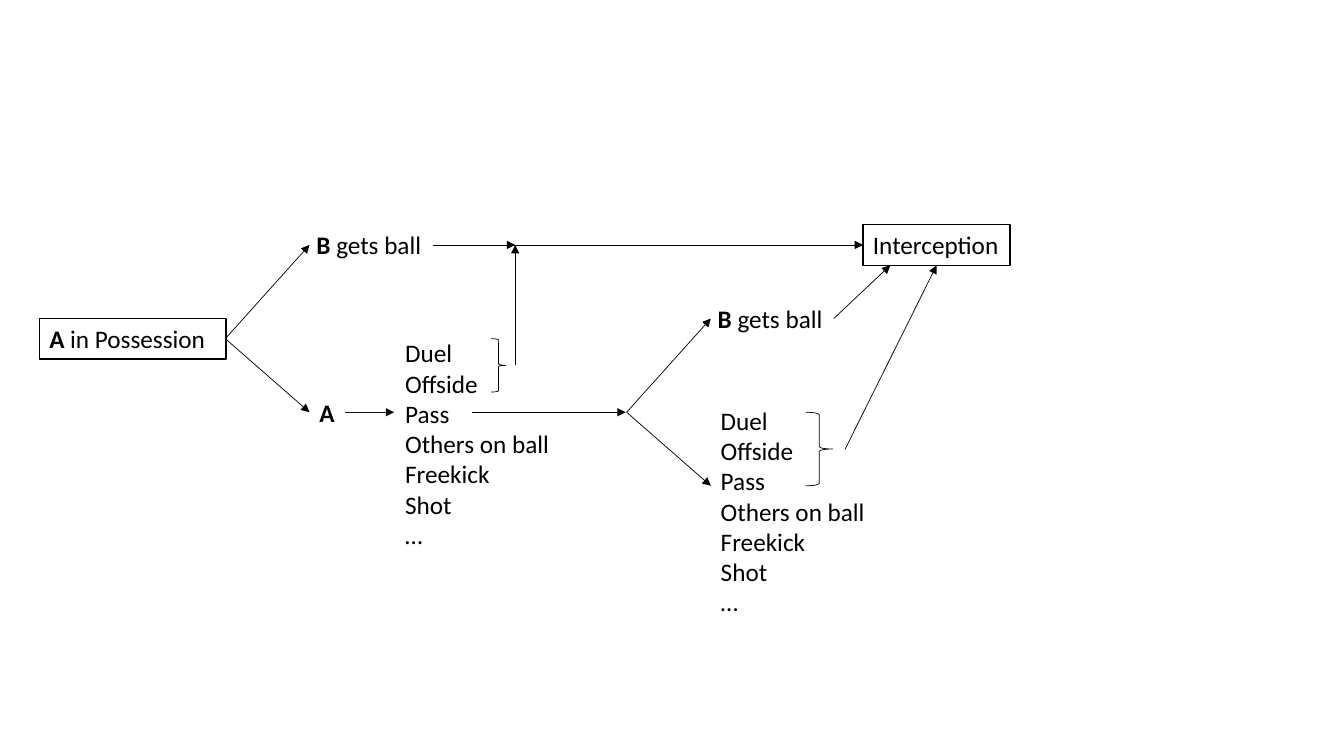
from lxml import etree
from pptx import Presentation
from pptx.dml.color import RGBColor
from pptx.enum.shapes import MSO_CONNECTOR, MSO_SHAPE
from pptx.enum.text import MSO_ANCHOR, MSO_AUTO_SIZE, PP_ALIGN
from pptx.oxml.ns import qn
from pptx.util import Inches, Pt

STRAIGHT = MSO_CONNECTOR.STRAIGHT
RECTANGLE, RIGHT_BRACE = MSO_SHAPE.RECTANGLE, MSO_SHAPE.RIGHT_BRACE
MIDDLE, LEFT = MSO_ANCHOR.MIDDLE, PP_ALIGN.LEFT
FIT_SHAPE = MSO_AUTO_SIZE.SHAPE_TO_FIT_TEXT

BLACK = RGBColor(0x00, 0x00, 0x00)
NEAR_BLACK = RGBColor(0x0D, 0x0D, 0x0D)
WHITE = RGBColor(0xFF, 0xFF, 0xFF)

CELL = Inches(0.1)
LABEL_HEIGHT = 4.04
LIST_HEIGHT = 22.2
LIST_WIDTH = 16.5
INTERCEPTION_ROW = 24.3
SECOND_GAIN_ROW = 31.6
START_ROW = 33.6
PASS_ROW = 40.9
SECOND_LIST_ROW = 48.2
INTERCEPTION_BOTTOM = INTERCEPTION_ROW + LABEL_HEIGHT / 2
JOIN_COLUMN = 51.1

FONT = {"name": "Calibri", "size": Pt(18)}
ACTIONS = ["Duel", "Offside", "Pass", "Others on ball", "Freekick", "Shot", "…"]


def cells(*counts):
    return [round(count * CELL) for count in counts]


def apply_format(target, values):
    for name, value in values.items():
        setattr(target, name, value)


def write_text(shape, lines, wrap=False):
    frame = shape.text_frame
    apply_format(frame, {"word_wrap": wrap, "auto_size": FIT_SHAPE,
                         "vertical_anchor": MIDDLE})
    for index, (team, text) in enumerate(lines):
        paragraph = frame.paragraphs[0] if index == 0 else frame.add_paragraph()
        paragraph.alignment = LEFT
        for content, bold in ((team, True), (text, False)):
            if content:
                run = paragraph.add_run()
                run.text = content
                apply_format(run.font, FONT | {"bold": bold})
                run.font.color.rgb = BLACK


def add_label(slide, left, row, width, team, text=""):
    box = slide.shapes.add_textbox(
        *cells(left, row - LABEL_HEIGHT / 2, width, LABEL_HEIGHT))
    write_text(box, [(team, text)])


def add_state(slide, left, row, width, team, text, wrap=False):
    box = slide.shapes.add_shape(
        RECTANGLE, *cells(left, row - LABEL_HEIGHT / 2, width, LABEL_HEIGHT))
    box.shadow.inherit = False
    box.fill.solid()
    box.fill.fore_color.rgb = WHITE
    box.line.color.rgb = BLACK
    box.line.width = Pt(1)
    write_text(box, [(team, text)], wrap)


def add_actions(slide, left, top):
    box = slide.shapes.add_textbox(*cells(left, top, LIST_WIDTH, LIST_HEIGHT))
    write_text(box, [("", action) for action in ACTIONS])


def add_brace(slide, left, top, width, height):
    brace = slide.shapes.add_shape(RIGHT_BRACE, *cells(left, top, width, height))
    brace.shadow.inherit = False
    brace.fill.background()
    brace.line.color.rgb = BLACK
    brace.line.width = Pt(0.5)


def add_arrow(slide, start, end, color=BLACK):
    arrow = slide.shapes.add_connector(STRAIGHT, *cells(*start, *end))
    arrow.line.color.rgb = color
    arrow.line.width = Pt(0.5)
    etree.SubElement(arrow.line._get_or_add_ln(), qn("a:tailEnd"), type="triangle")
    etree.SubElement(arrow._element.spPr, qn("a:effectLst"))


def add_fork(slide, column, row, upper_row, lower_row):
    for target_row in (upper_row, lower_row):
        add_arrow(slide, (column, row), (column + 8.35, target_row))


def add_first_phase(slide):
    add_state(slide, 3.9, START_ROW, 18.5, "A", " in Possession", wrap=True)
    add_fork(slide, 22.35, START_ROW, INTERCEPTION_ROW, PASS_ROW)
    add_label(slide, 30.4, INTERCEPTION_ROW, 12.5, "B", " gets ball")
    add_label(slide, 30.7, PASS_ROW, 3.5, "A")
    add_arrow(slide, (34.2, PASS_ROW), (39.1, PASS_ROW), NEAR_BLACK)
    add_actions(slide, 39.2, 32.9)
    add_brace(slide, 48.7, START_ROW, 1.5, 5.3)
    add_arrow(slide, (JOIN_COLUMN, 36.2), (JOIN_COLUMN, INTERCEPTION_ROW))
    for column in (JOIN_COLUMN, 85.6):
        add_arrow(slide, (42.9, INTERCEPTION_ROW), (column, INTERCEPTION_ROW))


def add_second_phase(slide):
    add_arrow(slide, (46.8, PASS_ROW), (62.05, PASS_ROW))
    add_fork(slide, 62.15, PASS_ROW, SECOND_GAIN_ROW, SECOND_LIST_ROW)
    add_label(slide, 70.2, SECOND_GAIN_ROW, 12.5, "B", " gets ball")
    add_actions(slide, 70.5, 39.6)
    add_brace(slide, 79.9, PASS_ROW, 2.7, SECOND_LIST_ROW - PASS_ROW)
    add_arrow(slide, (83.8, 44.6), (92.9, INTERCEPTION_BOTTOM))
    add_arrow(slide, (82.7, SECOND_GAIN_ROW), (88.3, INTERCEPTION_BOTTOM))


def main():
    presentation = Presentation()
    apply_format(presentation, {"slide_width": Inches(13.33),
                                "slide_height": Inches(7.5)})
    slide = presentation.slides.add_slide(presentation.slide_layouts[6])
    add_first_phase(slide)
    add_state(slide, 85.6, INTERCEPTION_ROW, 14.6, "", "Interception")
    add_second_phase(slide)
    presentation.save("out.pptx")


main()
